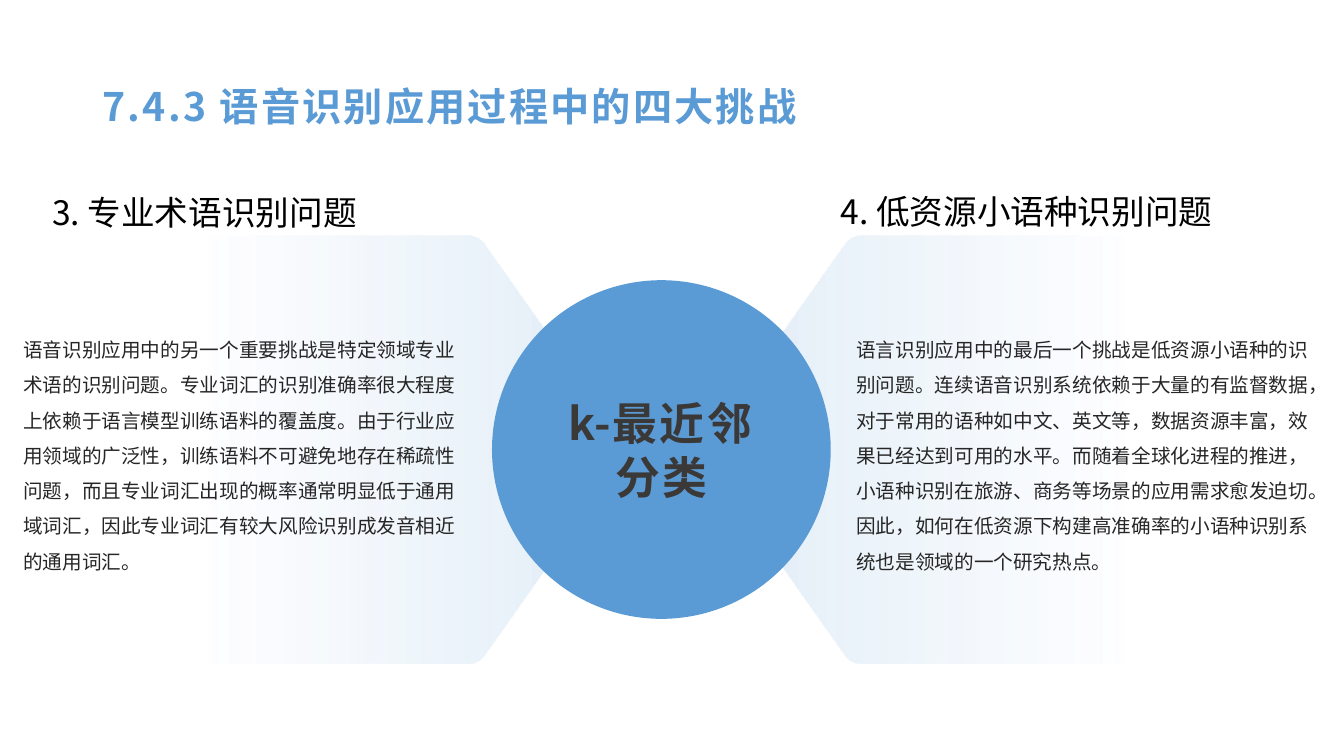
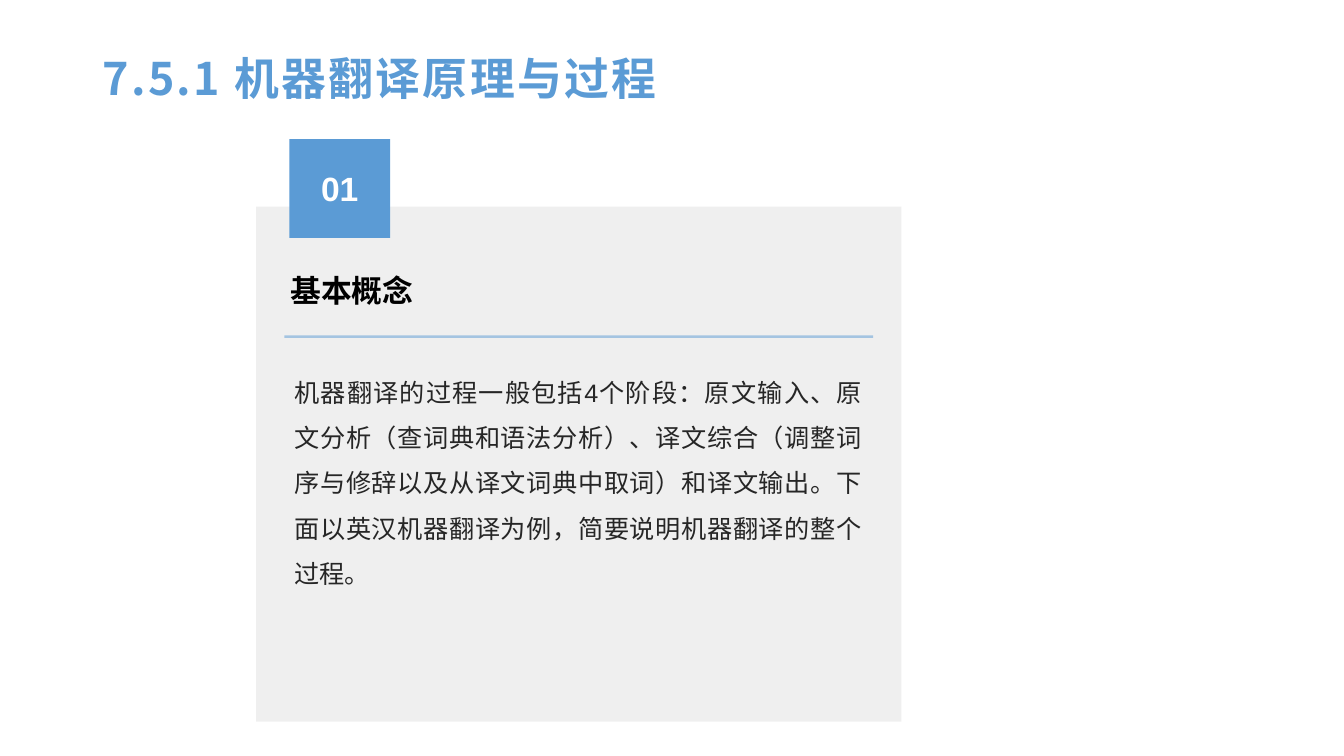
from pptx import Presentation
from pptx.dml.color import RGBColor
from pptx.enum.shapes import MSO_CONNECTOR as Link, MSO_SHAPE as Kind
from pptx.enum.text import MSO_ANCHOR as Anchor, PP_ALIGN as Align
from pptx.oxml.ns import qn
from pptx.util import Inches, Pt
from lxml.etree import SubElement as sub

BLUE, PALE, INK, DARK = "5B9BD5", "9DC3E6", "262626", "3B3838"
GRAY, BLACK, WHITE = "999999", "000000", "FFFFFF"
CJK, ARIAL, LATIN = "Noto Sans CJK SC", "Arial", "Calibri"
PAD = (0.1, 0.05, 0.1, 0.05)
NONE = (0, 0, 0, 0)


def rgb(code):
    return RGBColor.from_string(code)


def fade(node, share):
    for color in node.iter(qn("a:srgbClr")):
        sub(color, qn("a:alpha")).set("val", str(share * 1000))


def curve(a, b, c, d, steps=8):
    for i in range(steps + 1):
        t = i / steps
        s = 1 - t
        yield tuple(s**3 * p + 3 * s * s * t * q + 3 * s * t * t * r + t**3 * e
                    for p, q, r, e in zip(a, b, c, d))


def outline(width, height):
    mid = height / 2
    neck, tip = width - 1.56, width - 0.04
    top = [
        *curve((0, 0.21), (0, 0.09), (0.09, 0), (0.21, 0)),
        *curve((neck, 0), (neck + 0.07, 0), (neck + 0.13, 0.03), (neck + 0.17, 0.09)),
    ]
    nose = curve((tip, mid - 0.12), (tip + 0.05, mid - 0.05),
                 (tip + 0.05, mid + 0.05), (tip, mid + 0.12))
    return [*top, *nose, *((u, height - v) for u, v in reversed(top))]


class Deck:
    def __init__(self):
        self.show = Presentation()
        self.show.slide_width = Inches(13.33)
        self.show.slide_height = Inches(7.5)

    def page(self):
        self.slide = self.show.slides.add_slide(self.show.slide_layouts[6])
        self.shapes = self.slide.shapes

    def label(self, shape, text, size, color, font=CJK, bold=False, align=Align.LEFT,
              lead=None, gap=0, pad=PAD, anchor=Anchor.MIDDLE, wrap=True):
        frame = shape.text_frame
        frame.word_wrap = wrap
        frame.vertical_anchor = anchor
        (frame.margin_left, frame.margin_top,
         frame.margin_right, frame.margin_bottom) = map(Inches, pad)
        para = frame.paragraphs[0]
        para.text = text
        para.alignment = align
        if lead:
            para.line_spacing = lead
        style = para.font
        style.size, style.bold, style.name = Pt(size), bold, font
        style.color.rgb = rgb(color)
        node = para._p.pPr.find(qn("a:defRPr"))
        sub(node, qn("a:ea")).set("typeface", CJK)
        if gap:
            node.set("spc", str(int(gap * 100)))

    def text(self, box, text, size, color, **style):
        self.label(self.shapes.add_textbox(*map(Inches, box)), text, size, color, **style)

    def title(self, box, text, size):
        self.text(box, text, size, BLUE, bold=True, lead=0.9, gap=1.6)

    def shape(self, kind, box, color, alpha=None):
        item = self.shapes.add_shape(kind, *map(Inches, box))
        item.shadow.inherit = False
        item.fill.solid()
        item.fill.fore_color.rgb = rgb(color)
        item.line.fill.background()
        if alpha:
            fade(item._element.spPr, alpha)
        return item

    def wing(self, edge, top, width, way, stops, text, pad, align):
        spots = [(Inches(edge + way * u), Inches(top + v)) for u, v in outline(width, 4.24)]
        pen = self.shapes.build_freeform(*spots[0])
        pen.add_line_segments(spots[1:], close=True)
        item = pen.convert_to_shape()
        item.shadow.inherit = False
        item.line.fill.background()
        item.fill.gradient()
        item.fill.gradient_angle = 0
        for stop, (place, alpha) in zip(item.fill.gradient_stops, stops):
            stop.position = place
            stop.color.rgb = rgb(PALE)
            fade(stop._gs, alpha)
        self.label(item, text, 14, INK, font=ARIAL, lead=1.5, pad=pad, align=align)

    def line(self, start, end, color, width, alpha):
        item = self.shapes.add_connector(Link.STRAIGHT, *map(Inches, start + end))
        item.line.color.rgb = rgb(color)
        item.line.width = Pt(width)
        fade(item._element.spPr, alpha)
        sub(item._element.spPr, qn("a:effectLst"))


def issues(deck):
    deck.page()
    deck.wing(
        12.98, 2.34, 5.99, -1, [(0, 30), (0.7, 0)],
        "语言识别应用中的最后一个挑战是低资源小语种的识别问题。连续语音识别系统依赖于大量的有监督数据，"
        "对于常用的语种如中文、英文等，数据资源丰富，效果已经达到可用的水平。而随着全球化进程的推进，"
        "小语种识别在旅游、商务等场景的应用需求愈发迫切。因此，如何在低资源下构建高准确率的小语种识别系统"
        "也是领域的一个研究热点。",
        (1.5, 0.05, 0, 0.05), Align.JUSTIFY)
    deck.wing(
        0.23, 2.34, 5.97, 1, [(0.3, 0), (1, 30)],
        "语音识别应用中的另一个重要挑战是特定领域专业术语的识别问题。专业词汇的识别准确率很大程度上依赖于"
        "语言模型训练语料的覆盖度。由于行业应用领域的广泛性，训练语料不可避免地存在稀疏性问题，"
        "而且专业词汇出现的概率通常明显低于通用域词汇，因此专业词汇有较大风险识别成发音相近的通用词汇。",
        (0, 0.05, 1.5, 0.05), Align.LEFT)
    deck.title((0.92, 0.73, 7.91, 0.69), "7.4.3 语音识别应用过程中的四大挑战", 28)
    disc = deck.shape(Kind.OVAL, (4.88, 2.78, 3.36, 3.36), BLUE)
    deck.label(disc, "k-最近邻分类", 32, DARK, bold=True, align=Align.CENTER, gap=1.6)
    for box, text in (
        ((0.42, 1.85, 4.36, 0.5), "3. 专业术语识别问题"),
        ((8.24, 1.84, 4.58, 0.5), "4. 低资源小语种识别问题"),
    ):
        deck.text(box, text, 24, BLACK, anchor=Anchor.TOP)


def basics(deck):
    deck.page()
    deck.shape(Kind.RECTANGLE, (2.54, 2.05, 6.4, 5.11), GRAY, alpha=15)
    deck.text(
        (2.92, 3.59, 5.63, 2.75),
        "机器翻译的过程一般包括4个阶段：原文输入、原文分析（查词典和语法分析）、译文综合（调整词序与修辞"
        "以及从译文词典中取词）和译文输出。下面以英汉机器翻译为例，简要说明机器翻译的整个过程。",
        18, INK, font=ARIAL, align=Align.JUSTIFY, lead=1.5, pad=NONE, anchor=Anchor.TOP)
    badge = deck.shape(Kind.RECTANGLE, (2.87, 1.38, 1, 0.98), BLUE)
    deck.label(badge, "01", 24, WHITE, font=ARIAL, bold=True, align=Align.CENTER,
               pad=NONE, wrap=False)
    deck.line((2.82, 3.34), (8.66, 3.34), BLUE, 1.75, 50)
    deck.text((2.88, 2.6, 5.63, 0.56), "基本概念", 22, BLACK, font=LATIN, bold=True, pad=NONE)
    deck.title((0.92, 0.31, 6.9, 0.98), "7.5.1 机器翻译原理与过程", 32)


def main():
    deck = Deck()
    issues(deck)
    basics(deck)
    deck.show.save("out.pptx")


if __name__ == "__main__":
    main()
